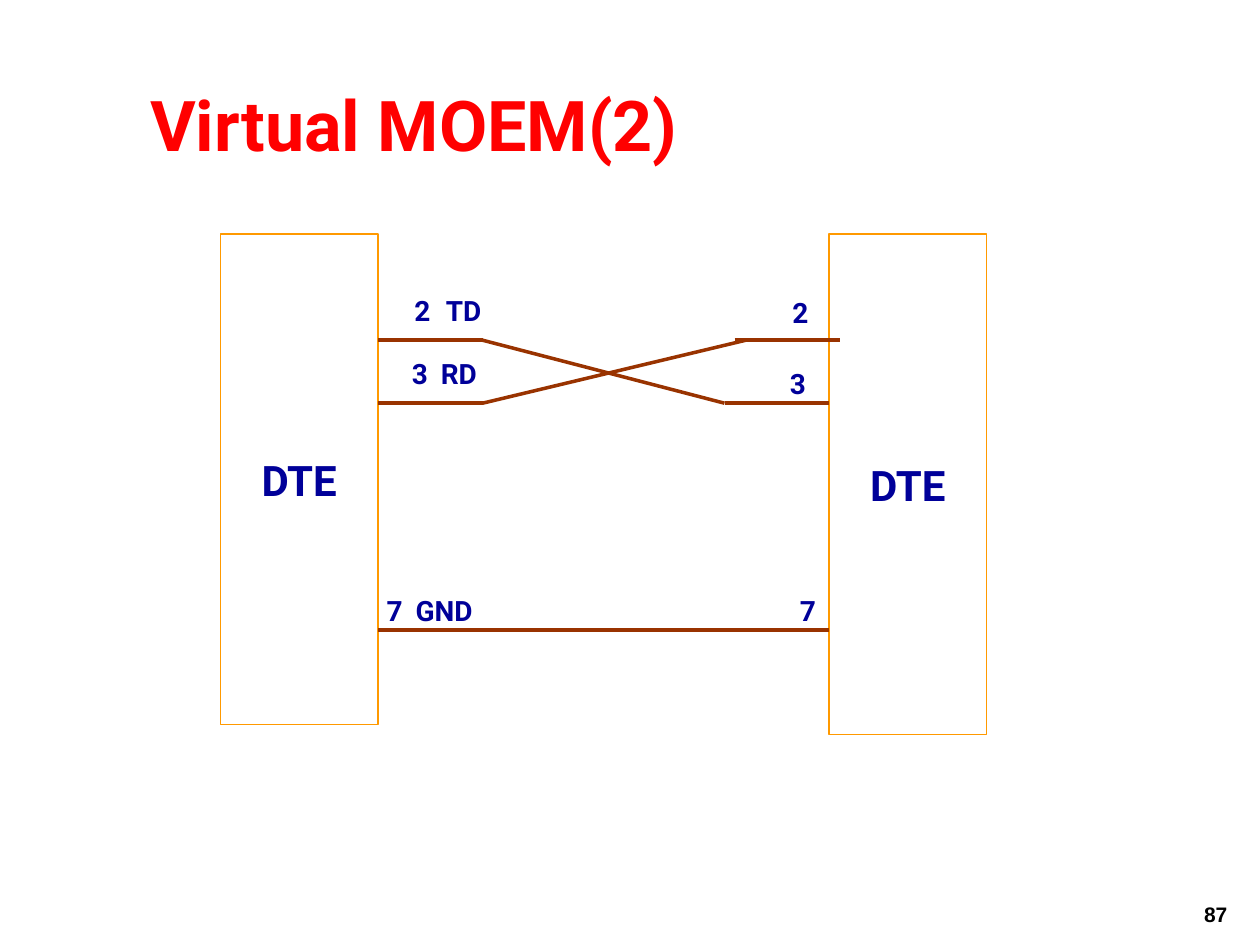
from dataclasses import dataclass

from lxml.etree import SubElement
from pptx import Presentation
from pptx.dml.color import RGBColor
from pptx.enum.shapes import MSO_CONNECTOR, MSO_SHAPE
from pptx.enum.text import MSO_ANCHOR, PP_ALIGN
from pptx.oxml.ns import qn
from pptx.util import Inches, Pt


@dataclass(frozen=True)
class Theme:
    font: str = "Roboto"
    number_font: str = "Arial"
    title: str = "FF0000"
    label: str = "000099"
    frame: str = "FF9900"
    wire: str = "993300"
    number: str = "000000"
    title_size: int = 40
    device_size: int = 24
    label_size: int = 16
    number_size: int = 12


THEME = Theme()

# Content: devices as (text, left, height)
DEVICE_TOP, DEVICE_WIDTH = 1.86, 1.25
DEVICES = [("DTE", 1.75, 3.89), ("DTE", 6.58, 3.97)]

# Pin labels as (text, left, top, width, wrap)
LABEL_HEIGHT, SIGNAL_TAB = 0.37, 0.23
LABELS = [
    ("2", 3.19, 2.28, 0.32, False),
    ("TD", 3.44, 2.28, 0.5, False),
    ("2", 6.19, 2.3, 0.32, False),
    ("3\tRD", 3.17, 2.78, 1.58, True),
    ("3", 6.17, 2.86, 0.32, False),
    ("7\tGND", 2.97, 4.66, 2.45, True),
    ("7", 6.25, 4.66, 0.32, False),
]

# Wires as (start x, start y, end x, end y)
LEFT_EDGE = DEVICES[0][1] + DEVICE_WIDTH
RIGHT_EDGE = DEVICES[1][1]
LEFT_BEND = 3.83
PIN_2, PIN_3, PIN_7 = 2.7, 3.2, 5
WIRES = [
    (LEFT_EDGE, PIN_2, LEFT_BEND, PIN_2),
    (LEFT_EDGE, PIN_3, LEFT_BEND, PIN_3),
    (5.75, PIN_3, RIGHT_EDGE, PIN_3),
    (5.83, PIN_2, 6.67, PIN_2),
    (LEFT_BEND, PIN_2, 5.75, PIN_3),
    (LEFT_BEND, PIN_3, 5.92, PIN_2),
    (LEFT_EDGE, PIN_7, RIGHT_EDGE, PIN_7),
]


def write_text(box, text, *, size, color, font=THEME.font, align=PP_ALIGN.LEFT,
               anchor=MSO_ANCHOR.TOP, wrap=False):
    frame = box.text_frame
    frame.word_wrap = wrap
    frame.vertical_anchor = anchor
    para = frame.paragraphs[0]
    para.alignment = align
    if "\t" in text:
        tabs = SubElement(para._p.get_or_add_pPr(), qn("a:tabLst"))
        SubElement(tabs, qn("a:tab"), pos=str(Inches(SIGNAL_TAB)), algn="l")
    span = para.add_run()
    span.text = text
    span.font.name = font
    span.font.size = Pt(size)
    span.font.bold = True
    span.font.color.rgb = RGBColor.from_string(color)


def add_text(page, text, left, top, width, height, **style):
    box = page.shapes.add_textbox(*map(Inches, (left, top, width, height)))
    write_text(box, text, **style)


def add_device(page, text, left, height):
    box = page.shapes.add_shape(
        MSO_SHAPE.RECTANGLE,
        *map(Inches, (left, DEVICE_TOP, DEVICE_WIDTH, height)))
    box.shadow.inherit = False
    box.fill.background()
    box.line.color.rgb = RGBColor.from_string(THEME.frame)
    box.line.width = Pt(1)
    write_text(box, text, size=THEME.device_size, color=THEME.label,
               align=PP_ALIGN.CENTER, anchor=MSO_ANCHOR.MIDDLE)


def add_wire(page, *ends):
    wire = page.shapes.add_connector(MSO_CONNECTOR.STRAIGHT, *map(Inches, ends))
    wire.line.color.rgb = RGBColor.from_string(THEME.wire)
    wire.line.width = Pt(2)
    SubElement(wire._element.spPr, qn("a:effectLst"))


def main():
    deck = Presentation()
    deck.slide_width, deck.slide_height = Inches(10), Inches(7.5)
    page = deck.slides.add_slide(deck.slide_layouts[6])

    # Slide number
    add_text(page, "87", 7.76, 7.11, 2.08, 0.2, size=THEME.number_size,
             color=THEME.number, font=THEME.number_font,
             align=PP_ALIGN.RIGHT, wrap=True)

    # Diagram
    for device in DEVICES:
        add_device(page, *device)
    for wire in WIRES:
        add_wire(page, *wire)
    for text, left, top, width, wrap in LABELS:
        add_text(page, text, left, top, width, LABEL_HEIGHT,
                 size=THEME.label_size, color=THEME.label, wrap=wrap)

    # Title
    add_text(page, "Virtual MOEM(2)", 1, 0.6, 4.57, 0.77,
             size=THEME.title_size, color=THEME.title, align=PP_ALIGN.CENTER)

    deck.save("out.pptx")


if __name__ == "__main__":
    main()
